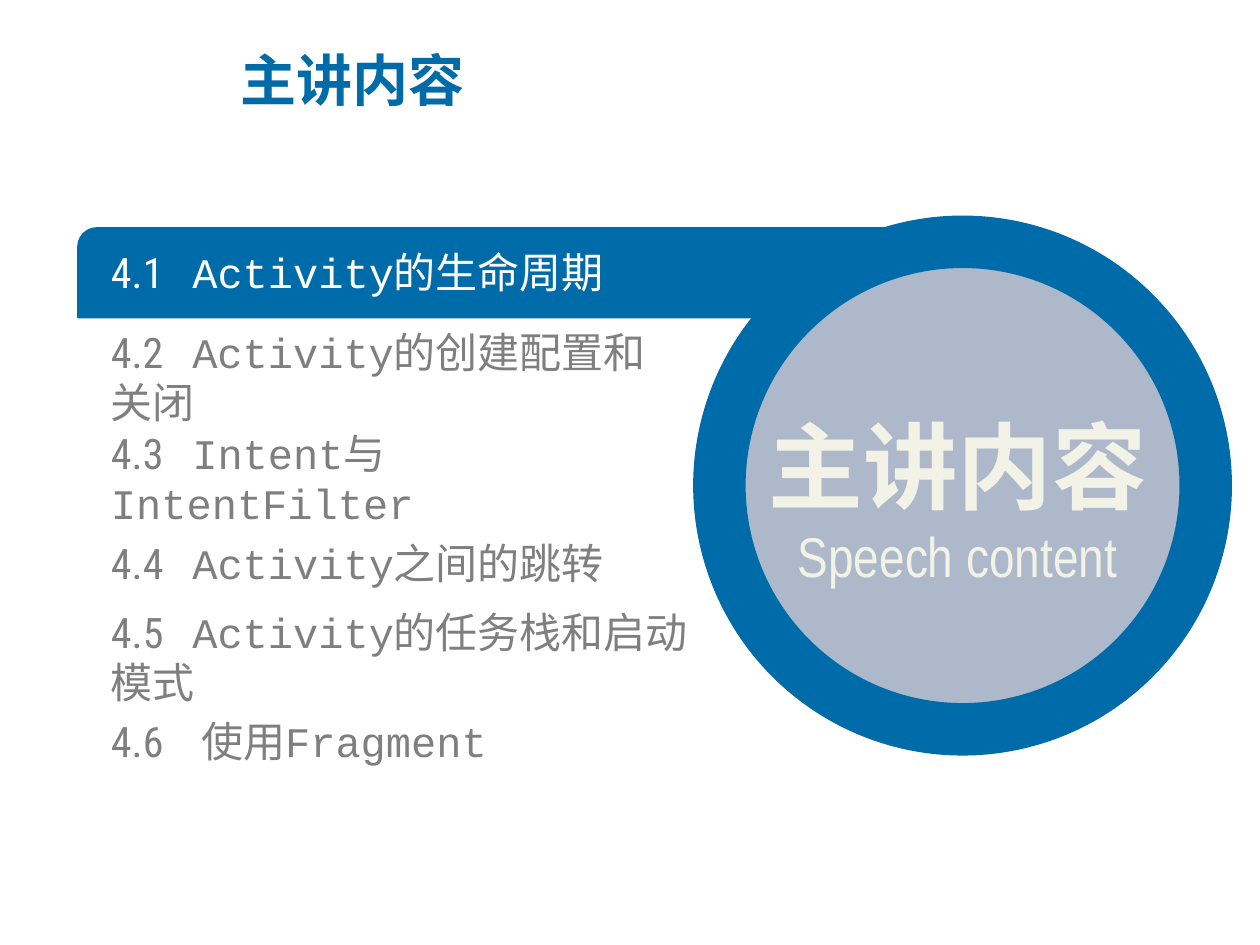
from lxml.etree import SubElement
from pptx import Presentation
from pptx.dml.color import RGBColor
from pptx.enum.shapes import MSO_SHAPE
from pptx.enum.text import MSO_ANCHOR, MSO_AUTO_SIZE, PP_ALIGN
from pptx.oxml.ns import qn
from pptx.util import Pt

BLUE = RGBColor(0x00, 0x6B, 0xA9)
BLUE_GRAY = RGBColor(0xAD, 0xB9, 0xCA)
CREAM = RGBColor(0xF2, 0xF2, 0xE6)
GRAY = RGBColor(0x7F, 0x7F, 0x7F)
WHITE = RGBColor(0xFF, 0xFF, 0xFF)
CJK, SANS, MONO, NARROW = "Noto Sans CJK SC", "Roboto Condensed", "Courier New", "Arial Narrow"


def add_text(p, text, font=SANS, size=24, color=GRAY, bold=False):
    """Append a run, using the font for both Latin and East Asian characters."""
    r = p.add_run()
    r.text = text
    r.font.name, r.font.size, r.font.bold = font, Pt(size), bold
    r.font.color.rgb = color
    SubElement(r.font._element, qn("a:ea"), typeface=font)


def add_panel(kind, left, top, width, height, fill, line_width):
    sp = s.shapes.add_shape(kind, Pt(left), Pt(top), Pt(width), Pt(height))
    sp.shadow.inherit = False
    sp.fill.solid()
    sp.fill.fore_color.rgb = fill
    sp.line.color.rgb = BLUE
    sp.line.width = Pt(line_width)
    return sp


prs = Presentation()
prs.slide_width, prs.slide_height = Pt(720), Pt(540)
s = prs.slides.add_slide(prs.slide_layouts[5])

# Title
title = s.shapes.title
title.left, title.top, title.width, title.height = Pt(130.3), Pt(15.1), Pt(405.4), Pt(60.5)
tf = title.text_frame
tf.auto_size = MSO_AUTO_SIZE.NONE
tf.vertical_anchor = MSO_ANCHOR.MIDDLE
p = tf.paragraphs[0]
p.alignment = PP_ALIGN.LEFT
add_text(p, "主讲内容", font=CJK, size=32, color=BLUE, bold=True)

# Bar behind the current topic
bar = add_panel(MSO_SHAPE.ROUND_2_DIAG_RECTANGLE, 44.6, 130.3, 468.7, 51.1, BLUE, 1)
bar.adjustments[0], bar.adjustments[1] = 0.21, 0

# Topics: top, width, number, tab stop, color, (text, font) pieces
topics = [
    (141.1, 301.7, "4.1", 46.5, WHITE, [("Activity", MONO), ("的生命周期", SANS)]),
    (200.9, 321.8, "4.2", 46.5, GRAY, [("Activity", MONO), ("的创建配置和关闭", SANS)]),
    (258.5, 301.7, "4.3", 46.5, GRAY, [("Intent", MONO), ("与", SANS), ("IntentFilter", MONO)]),
    (307.4, 301.7, "4.4", 46.5, GRAY, [("Activity", MONO), ("之间的跳转", SANS)]),
    (360.7, 353.5, "4.5", 46.5, GRAY, [("Activity", MONO), ("的任务栈和启动模式", SANS)]),
    (409, 301.7, "4.6", 51.5, GRAY, [("使用", SANS), ("Fragment", MONO)]),
]
for top, width, number, tab, color, pieces in topics:
    tf = s.shapes.add_textbox(Pt(63.4), Pt(top), Pt(width), Pt(28.8)).text_frame
    tf.word_wrap = True
    tf.vertical_anchor = MSO_ANCHOR.MIDDLE
    tf.margin_left = tf.margin_top = tf.margin_right = tf.margin_bottom = 0
    p = tf.paragraphs[0]
    tabs = SubElement(p._p.get_or_add_pPr(), qn("a:tabLst"))
    SubElement(tabs, qn("a:tab"), pos=str(Pt(tab)), algn="l")
    add_text(p, number + "\t", color=color)
    for text, font in pieces:
        add_text(p, text, font=font, color=color)

# Circle and its caption
add_panel(MSO_SHAPE.OVAL, 411.1, 138.2, 277.9, 278.6, BLUE_GRAY, 30)
tf = s.shapes.add_textbox(Pt(427.7), Pt(196.6), Pt(239), Pt(144)).text_frame
tf.word_wrap = True
tf.vertical_anchor = MSO_ANCHOR.MIDDLE
p = tf.paragraphs[0]
p.alignment = PP_ALIGN.CENTER
p.line_spacing = 1.5
add_text(p, "主讲内容", font=CJK, size=54, color=CREAM, bold=True)
p = tf.add_paragraph()
p.alignment = PP_ALIGN.CENTER
add_text(p, "Speech content", font=NARROW, size=32, color=CREAM)

prs.save("out.pptx")
